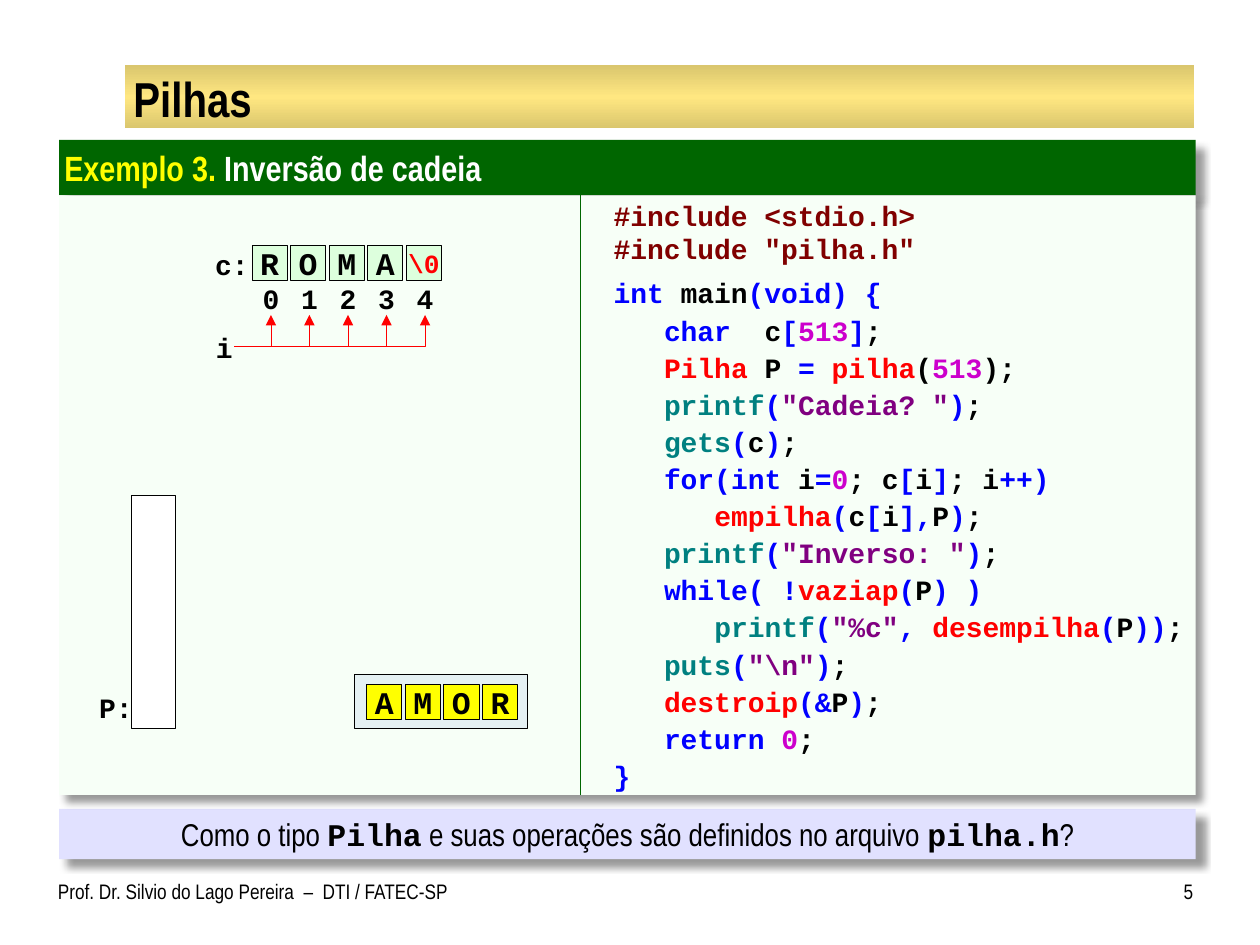
from copy import deepcopy

from pptx import Presentation
from pptx.dml.color import RGBColor
from pptx.enum.shapes import MSO_CONNECTOR as Connector, MSO_SHAPE as Shape
from pptx.enum.text import MSO_ANCHOR as Anchor, PP_ALIGN as Align
from pptx.oxml import parse_xml
from pptx.oxml.ns import nsdecls, qn
from pptx.util import Inches, Pt

SANS, MONO = "Arial Narrow", "Courier New"
BLACK = RGBColor(0, 0, 0)
WHITE = RGBColor(255, 255, 255)
YELLOW = RGBColor(255, 255, 0)
RED = RGBColor(255, 0, 0)
GREEN = RGBColor(0, 0x66, 0)
PALE_GREEN = RGBColor(0xF7, 0xFF, 0xF7)
CELL_GREEN = RGBColor(0xDD, 0xFF, 0xDD)
LAVENDER = RGBColor(0xE1, 0xE1, 0xFF)
TRAY = RGBColor(0xE5, 0xF1, 0xF3)
GOLD = RGBColor(0xDA, 0xC6, 0x6E)
LIGHT_GOLD = RGBColor(0xFF, 0xE7, 0x81)
BLUE = RGBColor(0, 0, 255)
MAROON = RGBColor(0x80, 0, 0)
TEAL = RGBColor(0, 0x80, 0x80)
PURPLE = RGBColor(0x80, 0, 0x80)
MAGENTA = RGBColor(0xCC, 0, 0xCC)

PITCH = 0.306
SIDE = 0.28
CODE_INDENT = 0.4

CODE = [
    (0, 0, [("#include <stdio.h>", MAROON)]),
    (0, 0, [('#include "pilha.h"', MAROON)]),
    (0, 6, [("int", BLUE), (" main", BLACK), ("(void) {", BLUE)]),
    (1, 2, [("char", BLUE), ("  c", BLACK), ("[", BLUE), ("513", MAGENTA),
            ("]", BLUE), (";", BLACK)]),
    (1, 2, [("Pilha", RED), (" P ", BLACK), ("= ", BLUE), ("pilha", RED),
            ("(", BLACK), ("513", MAGENTA), (");", BLACK)]),
    (1, 2, [("printf", TEAL), ("(", BLUE), ('"Cadeia? "', PURPLE),
            (")", BLUE), (";", BLACK)]),
    (1, 2, [("gets", TEAL), ("(", BLUE), ("c", BLACK), (")", BLUE),
            (";", BLACK)]),
    (1, 2, [("for(int", BLUE), (" i", BLACK), ("=", BLUE), ("0", MAGENTA),
            ("; c", BLACK), ("[", BLUE), ("i", BLACK), ("]", BLUE),
            ("; i", BLACK), ("++)", BLUE)]),
    (2, 2, [("empilha", RED), ("(", BLUE), ("c", BLACK), ("[", BLUE),
            ("i", BLACK), ("],", BLUE), ("P", BLACK), (")", BLUE),
            (";", BLACK)]),
    (1, 2, [("printf", TEAL), ("(", BLUE), ('"Inverso: "', PURPLE),
            (")", BLUE), (";", BLACK)]),
    (1, 2, [("while( !", BLUE), ("vaziap", RED), ("(", BLUE), ("P", BLACK),
            (") )", BLUE)]),
    (2, 2, [("printf", TEAL), ("(", BLUE), ('"%c"', PURPLE), (", ", BLUE),
            ("desempilha", RED), ("(", BLUE), ("P", BLACK), ("))", BLUE),
            (";", BLACK)]),
    (1, 2, [("puts", TEAL), ("(", BLUE), (r'"\n"', PURPLE), (")", BLUE),
            (";", BLACK)]),
    (1, 2, [("destroip", RED), ("(&", BLUE), ("P", BLACK), (")", BLUE),
            (";", BLACK)]),
    (1, 2, [("return ", BLUE), ("0", MAGENTA), (";", BLACK)]),
    (0, 2, [("}", BLUE)]),
]


def add_box(slide, left, top, width, height, fill, line=None):
    sp = slide.shapes.add_shape(Shape.RECTANGLE, Inches(left), Inches(top),
                                Inches(width), Inches(height))
    sp.shadow.inherit = False
    sp.fill.solid()
    sp.fill.fore_color.rgb = fill
    if line is None:
        sp.line.fill.background()
    else:
        sp.line.color.rgb = line
        sp.line.width = Pt(0.5)
    return sp


def add_textbox(slide, left, top, width, height):
    return slide.shapes.add_textbox(Inches(left), Inches(top),
                                    Inches(width), Inches(height))


def add_panel(slide, top, height, fill):
    sp = add_box(slide, 0.47, top, 9.02, height, fill)
    effects = sp._element.spPr.find(qn("a:effectLst"))
    effects.append(parse_xml(
        f'<a:outerShdw {nsdecls("a")} blurRad="{Pt(4)}" dist="{Pt(6)}" '
        'dir="2700000" algn="tl" rotWithShape="0"><a:srgbClr val="000000">'
        '<a:alpha val="40000"/></a:srgbClr></a:outerShdw>'))
    return sp


def add_gold_band(slide):
    fill = add_box(slide, 0.99, 0.52, 8.49, 0.5, GOLD).fill
    fill.gradient()
    fill.gradient_angle = 90
    last = fill.gradient_stops[1]._gs
    last.addprevious(deepcopy(last))
    for stop, position, colour in zip(fill.gradient_stops, (0, 0.5, 1),
                                      (GOLD, LIGHT_GOLD, GOLD)):
        stop.position = position
        stop.color.rgb = colour


def set_frame(sp, insets, anchor):
    tf = sp.text_frame
    tf.word_wrap = True
    tf.vertical_anchor = anchor
    (tf.margin_left, tf.margin_top,
     tf.margin_right, tf.margin_bottom) = map(Inches, insets)
    return tf


def set_font(font, size, name, bold=False, colour=BLACK):
    font.size = Pt(size)
    font.name = name
    font.bold = bold
    font.color.rgb = colour


def write(sp, text, size, name=SANS, bold=False, colour=BLACK,
          align=Align.LEFT, insets=(0, 0.05, 0, 0.05), anchor=Anchor.TOP):
    p = set_frame(sp, insets, anchor).paragraphs[0]
    p.text = text
    p.alignment = align
    set_font(p.font, size, name, bold, colour)
    return p


def write_runs(sp, size, runs, align, insets):
    p = set_frame(sp, insets, Anchor.TOP).paragraphs[0]
    p.alignment = align
    for text, name, bold, colour in runs:
        r = p.add_run()
        r.text = text
        set_font(r.font, size, name, bold, colour)


def write_symbol(sp, text, size=16, colour=BLACK):
    p = write(sp, text, size, MONO, True, colour, Align.CENTER,
              (0, 0.03, 0, 0.03), Anchor.MIDDLE)
    p.space_after = Pt(10)


def add_cell(slide, left, top, text, fill, size=18, colour=BLACK):
    sp = add_box(slide, left, top, SIDE, SIDE, fill, BLACK)
    write_symbol(sp, text, size, colour)


def add_label(slide, left, top, text, width=SIDE):
    write_symbol(add_textbox(slide, left, top, width, SIDE), text)


def add_line(slide, kind, start, end, colour, width):
    line = slide.shapes.add_connector(kind, *map(Inches, start + end))
    line.line.color.rgb = colour
    line.line.width = Pt(width)
    line._element.spPr.append(parse_xml(f'<a:effectLst {nsdecls("a")}/>'))
    return line


def add_index_arrow(slide, x):
    spPr = add_line(slide, Connector.ELBOW, (1.86, 2.75), (x, 2.5),
                    RED, 0.25)._element.spPr
    spPr.find(qn("a:prstGeom")).set("prst", "bentConnector2")
    spPr.find(qn("a:ln")).append(
        parse_xml(f'<a:tailEnd {nsdecls("a")} type="triangle"/>'))


def add_code(slide):
    sp = add_textbox(slide, 4.87, 1.55, 4.61, 4.76)
    tf = set_frame(sp, (0, 0.05, 0, 0.05), Anchor.MIDDLE)
    for i, (level, before, tokens) in enumerate(CODE):
        p = tf.add_paragraph() if i else tf.paragraphs[0]
        p.space_before = Pt(before)
        p._p.get_or_add_pPr().set("marL", str(Inches(CODE_INDENT * level)))
        for text, colour in tokens:
            r = p.add_run()
            r.text = text
            set_font(r.font, 16, MONO, True, colour)


def add_string_diagram(slide):
    for i, char in enumerate(["R", "O", "M", "A", r"\0"]):
        x = 2 + PITCH * i
        size, colour = (18, BLACK) if len(char) == 1 else (15, RED)
        add_cell(slide, x, 1.95, char, CELL_GREEN, size, colour)
        add_label(slide, x + 0.01, 2.23, str(i))
        add_index_arrow(slide, x + 0.15)
    add_label(slide, 1.7, 1.96, "c:")
    add_label(slide, 1.7, 2.62, "i", 0.16)


def add_stack_and_output(slide):
    add_box(slide, 1.04, 3.93, 0.35, 1.85, WHITE, BLACK)
    add_label(slide, 0.78, 5.47, "P:")
    add_box(slide, 2.81, 5.35, 1.38, 0.43, TRAY, BLACK)
    for i, char in enumerate("AMOR"):
        add_cell(slide, 2.91 + PITCH * i, 5.43, char, YELLOW)


def main():
    prs = Presentation()
    prs.slide_width, prs.slide_height = Inches(10), Inches(7.5)
    slide = prs.slides.add_slide(prs.slide_layouts[6])

    add_gold_band(slide)
    write_runs(add_panel(slide, 6.42, 0.4, LAVENDER), 18, [
        ("Como o tipo ", SANS, False, BLACK),
        ("Pilha", MONO, True, BLACK),
        (" e suas operações são definidos no arquivo ", SANS, False, BLACK),
        ("pilha.h", MONO, True, BLACK),
        ("?", SANS, False, BLACK),
    ], Align.CENTER, (0.04, 0.05, 0.04, 0.05))
    write_runs(add_panel(slide, 1.11, 0.44, GREEN), 20, [
        ("Exemplo 3.", SANS, True, YELLOW),
        (" Inversão de cadeia", SANS, True, WHITE),
    ], Align.LEFT, (0.04, 0.05, 0.1, 0.05))
    add_panel(slide, 1.55, 4.76, PALE_GREEN)
    write(add_textbox(slide, 1, 0.54, 8.47, 0.47), "Pilhas", 28, bold=True,
          insets=(0.06, 0.01, 0.06, 0.01), anchor=Anchor.MIDDLE)
    write(add_textbox(slide, 0.46, 6.92, 3.27, 0.42),
          "Prof. Dr. Silvio do Lago Pereira  –  DTI / FATEC-SP", 12)
    write(add_textbox(slide, 9.08, 6.92, 0.39, 0.42), "5", 12,
          align=Align.RIGHT)
    add_code(slide)
    add_line(slide, Connector.STRAIGHT, (4.61, 1.55), (4.61, 6.31),
             GREEN, 0.75)
    add_string_diagram(slide)
    add_stack_and_output(slide)
    prs.save("out.pptx")


if __name__ == "__main__":
    main()
